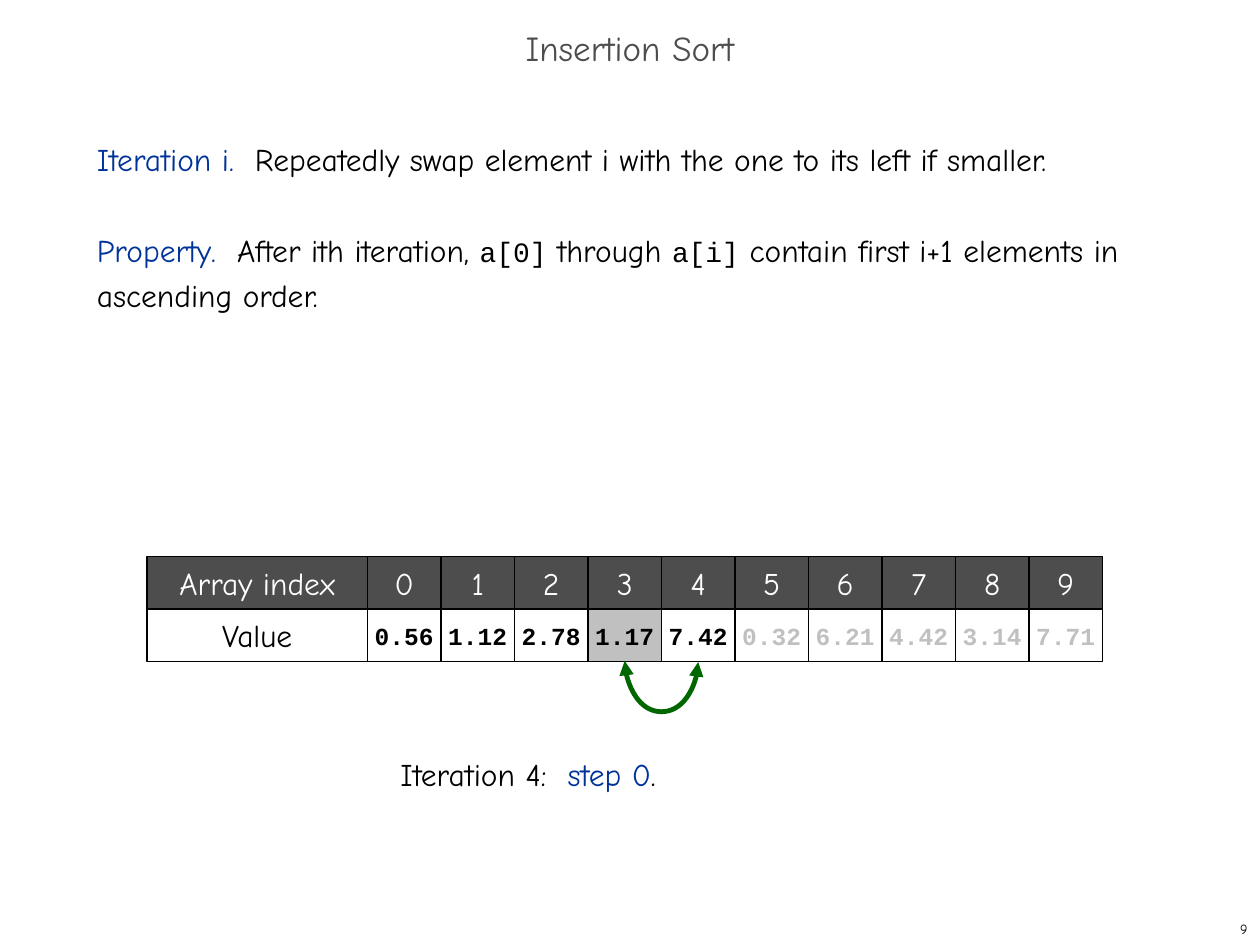
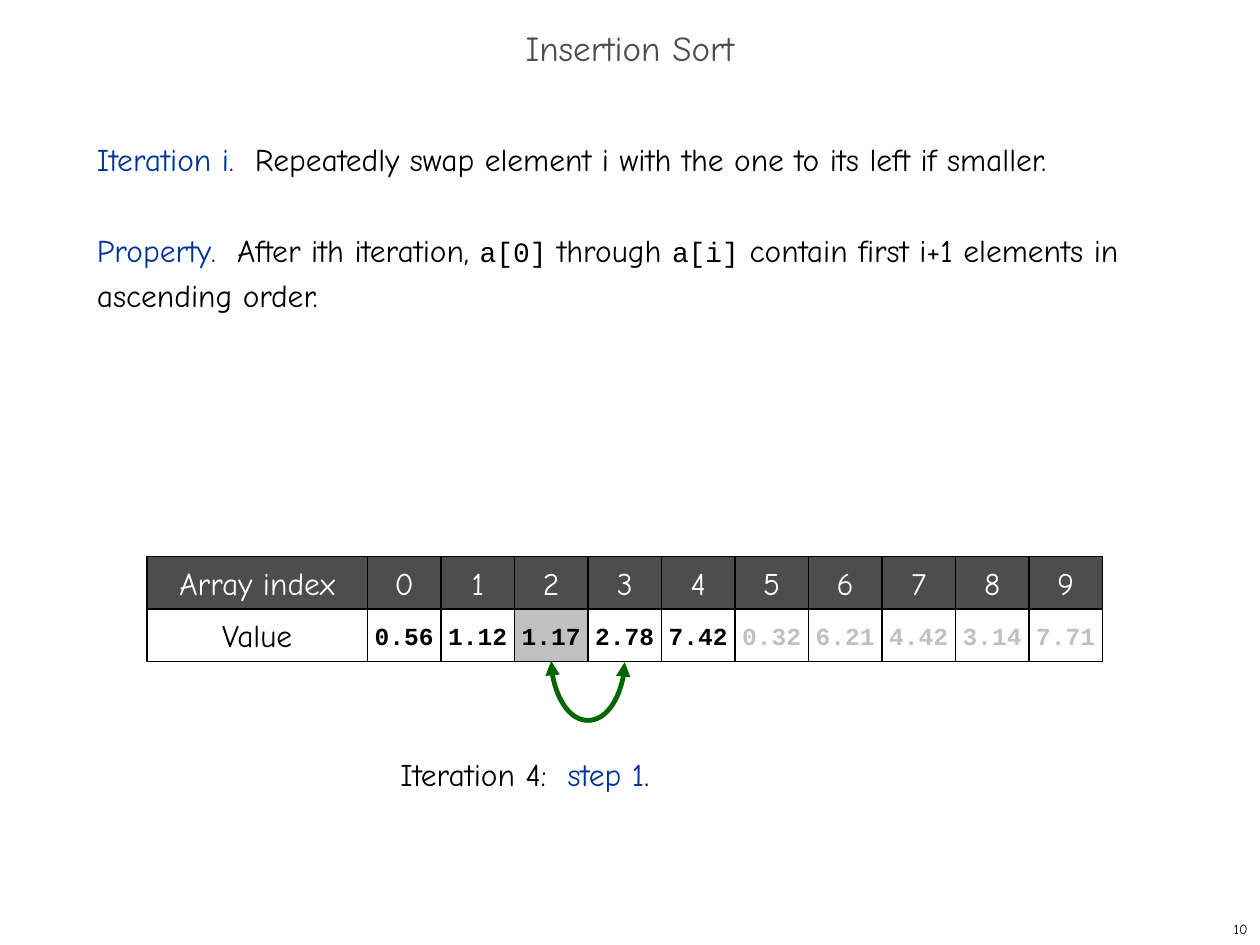
import pptx
import pptx.dml.color
import pptx.enum.shapes
import pptx.enum.text
import pptx.oxml.ns
import pptx.util
from lxml import etree

Inches = pptx.util.Inches
Pt = pptx.util.Pt
ALIGN = pptx.enum.text.PP_ALIGN
MIDDLE = pptx.enum.text.MSO_ANCHOR.MIDDLE
qn = pptx.oxml.ns.qn
rgb = pptx.dml.color.RGBColor.from_string

COLORS = {
    "black": "000000",
    "white": "FFFFFF",
    "dark": "4D4D4D",
    "gray": "C0C0C0",
    "blue": "003399",
    "green": "006600",
}
TEXT_FONT = "Comic Neue"
CODE_FONT = "Courier New"

ARRAY_LEFT, ARRAY_TOP = 7 / 6, 53 / 12
LABEL_WIDTH, CELL_WIDTH, ROW_HEIGHT = 1.75, 7 / 12, 5 / 12
ARRAY_BOTTOM = ARRAY_TOP + 2 * ROW_HEIGHT
ITERATION = 4

PROPERTY_PARAGRAPHS = [
    [("Iteration i.  ", "blue", TEXT_FONT, 18),
     ("Repeatedly swap element i with the one to its left if smaller.", "black", TEXT_FONT, 18)],
    [("Property.  ", "blue", TEXT_FONT, 18),
     ("After ith iteration, ", "black", TEXT_FONT, 18),
     ("a[0]", "black", CODE_FONT, 16),
     (" through ", "black", TEXT_FONT, 18),
     ("a[i]", "black", CODE_FONT, 16),
     (" contain first i+1 elements in ascending order.", "black", TEXT_FONT, 18)],
]

# page number, values, column of the moving element, depth of the swap arrow
STEPS = [
    (9, "0.56 1.12 2.78 1.17 7.42 0.32 6.21 4.42 3.14 7.71", 3, 0.41),
    (10, "0.56 1.12 1.17 2.78 7.42 0.32 6.21 4.42 3.14 7.71", 2, 0.48),
]


def style_font(font, color, name=TEXT_FONT, size=18, bold=False):
    font.name = name
    font.size = Pt(size)
    font.bold = bold
    font.color.rgb = rgb(COLORS[color])


def add_text(slide, box, paragraphs, align=ALIGN.LEFT, anchor=pptx.enum.text.MSO_ANCHOR.TOP):
    """Add a wrapped text box; each paragraph is a list of (text, color, font, size)."""
    frame = slide.shapes.add_textbox(*map(Inches, box)).text_frame
    frame.word_wrap = True
    frame.vertical_anchor = anchor
    for number, runs in enumerate(paragraphs):
        paragraph = frame.add_paragraph() if number else frame.paragraphs[0]
        paragraph.alignment = align
        for text, color, name, size in runs:
            run = paragraph.add_run()
            run.text = text
            style_font(run.font, color, name, size)
    return frame


presentation = pptx.Presentation()
presentation.slide_width = Inches(10)
presentation.slide_height = Inches(7.5)

for step, (page, values, moving, depth) in enumerate(STEPS):
    slide = presentation.slides.add_slide(presentation.slide_layouts[6])

    title = add_text(slide, (0, 0.17, 10, 0.5), [[("Insertion Sort", "dark", TEXT_FONT, 20)]],
                     ALIGN.CENTER, MIDDLE)
    title.paragraphs[0].line_spacing = 0.7

    body = add_text(slide, (0.67, 1, 8.83, 5.92), PROPERTY_PARAGRAPHS)
    for paragraph in body.paragraphs:
        paragraph.line_spacing = Pt(26)
    body.paragraphs[1].space_before = Pt(26)

    # Array: a row of indexes above a row of values
    rows = [["Array index", *map(str, range(10))], ["Value", *values.split()]]
    for row_number, texts in enumerate(rows):
        for index, text in enumerate(texts, start=-1):
            is_label = index < 0
            if row_number == 0:
                fill, color = "dark", "white"
            else:
                fill = "gray" if index == moving else "white"
                color = "gray" if index > ITERATION else "black"

            left = ARRAY_LEFT if is_label else ARRAY_LEFT + LABEL_WIDTH + index * CELL_WIDTH
            cell = slide.shapes.add_shape(
                pptx.enum.shapes.MSO_SHAPE.RECTANGLE, Inches(left),
                Inches(ARRAY_TOP + row_number * ROW_HEIGHT),
                Inches(LABEL_WIDTH if is_label else CELL_WIDTH), Inches(ROW_HEIGHT))
            cell.shadow.inherit = False
            cell.fill.solid()
            cell.fill.fore_color.rgb = rgb(COLORS[fill])
            cell.line.color.rgb = rgb(COLORS["black"])
            cell.line.width = Pt(0.75)
            cell.text_frame.word_wrap = False
            cell.text_frame.vertical_anchor = MIDDLE
            paragraph = cell.text_frame.paragraphs[0]
            paragraph.text = text
            paragraph.alignment = ALIGN.CENTER
            if row_number == 0 or is_label:
                style_font(paragraph.font, color)
            else:
                style_font(paragraph.font, color, CODE_FONT, 14, bold=True)

    # Swap arrow: a thin curved connector turned so that it bulges downwards
    thickness = 0.01
    middle = ARRAY_LEFT + LABEL_WIDTH + (moving + 1) * CELL_WIDTH
    left, top = middle - thickness / 2, ARRAY_BOTTOM - CELL_WIDTH / 2
    arrow = slide.shapes.add_connector(
        pptx.enum.shapes.MSO_CONNECTOR.CURVE, Inches(left), Inches(top),
        Inches(left + thickness), Inches(top + CELL_WIDTH))
    arrow.line.width = Pt(2.75)
    arrow.line.color.rgb = rgb(COLORS["green"])
    for end in ("headEnd", "tailEnd"):
        etree.SubElement(arrow.line._get_or_add_ln(), qn(f"a:{end}"), type="triangle")
    shape_properties = arrow._element.spPr
    etree.SubElement(shape_properties, qn("a:effectLst"))
    transform = shape_properties.find(qn("a:xfrm"))
    transform.set("rot", str(270 * 60000))
    transform.set("flipH", "1")
    adjustments = shape_properties.find(qn("a:prstGeom")).find(qn("a:avLst"))
    etree.SubElement(adjustments, qn("a:gd"), name="adj1",
                     fmla=f"val {round(depth / thickness * 100000)}")

    add_text(slide, (3.08, 5.94, 4.08, 0.4),
             [[(f"Iteration {ITERATION}:  ", "black", TEXT_FONT, 18),
               (f"step {step}", "blue", TEXT_FONT, 18),
               (".", "black", TEXT_FONT, 18)]])
    add_text(slide, (7.92, 7.25, 2.08, 0.25), [[(str(page), "black", TEXT_FONT, 8)]],
             ALIGN.RIGHT, MIDDLE)

presentation.save("out.pptx")
